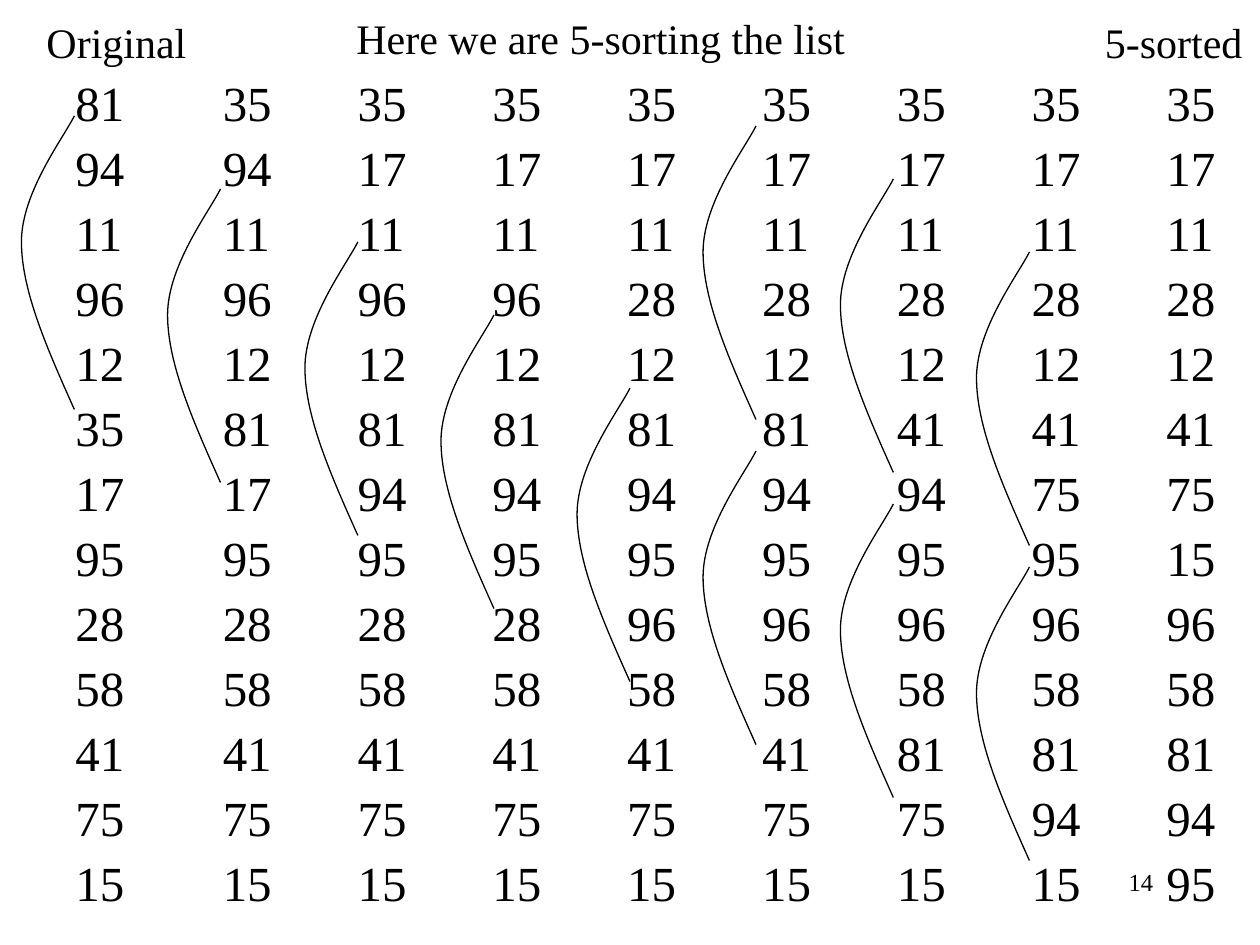
from pptx import Presentation
from pptx import util as u
from pptx.dml.color import RGBColor
from pptx.enum import text
from pptx.oxml import ns, xmlchemy

GAP = 5
ORIGINAL = [81, 94, 11, 96, 12, 35, 17, 95, 28, 58, 41, 75, 15]
COLUMN_TOP, COLUMN_STEP = 0.58, 1.07

# Left and top of the arc joining each compared pair
ARCS = [(0.17, 0.92), (1.33, 1.5), (2.42, 1.92), (3.5, 2.5), (4.58, 3.08),
        (5.58, 3.58), (6.67, 4), (7.75, 4.5), (7.75, 2), (6.67, 1.42), (5.58, 1)]
# Start of an arc, then the control and end points of its two curves
ARC_POINTS = [(0.42, 2.33), (0.21, 1.86), (0, 1.39), (0, 1),
              (0, 0.61), (0.33, 0.18), (0.42, 0)]


def color(value):
    return RGBColor.from_string(value)


def sort_passes(values, gap):
    """Return the list before and after each compare-and-swap."""
    states = [list(values)]
    for i in range(len(values) - gap):
        state = list(states[-1])
        if state[i] > state[i + gap]:
            state[i], state[i + gap] = state[i + gap], state[i]
        states.append(state)
    return states


class Deck:
    font = "Times New Roman"
    ink = "000000"

    def __init__(self, s):
        self.s = s

    def text_box(self, lines, left, top, width, height, size, wrap=True):
        sp = self.s.shapes.add_textbox(*map(u.Inches, (left, top, width, height)))
        tf = sp.text_frame
        tf.word_wrap = wrap
        if not wrap:
            tf.auto_size = text.MSO_AUTO_SIZE.SHAPE_TO_FIT_TEXT
        tf.text = "\n".join(map(str, lines))
        for p in tf.paragraphs:
            p.font.name = self.font
            p.font.size = u.Pt(size)
            p.font.color.rgb = color(self.ink)
        return tf

    def label(self, words, left, top, width):
        self.text_box([words], left, top, width, 0.5, 24, wrap=False)

    def column(self, numbers, left):
        tf = self.text_box(numbers, left, COLUMN_TOP, 0.67, 6.67, 28)
        for p in tf.paragraphs:
            p.line_spacing = 0.9
            p.space_before = u.Pt(6.9)
            pPr = p._p.get_or_add_pPr()
            pPr.set("marL", str(u.Inches(0.38)))
            pPr.set("indent", str(u.Inches(-0.38)))

    def page_number(self, number):
        tf = self.text_box([number], 7.5, 6.83, 1.75, 0.5, 14)
        tf.paragraphs[0].alignment = text.PP_ALIGN.RIGHT

    def arc(self, left, top):
        points = [(u.Inches(left + x), u.Inches(top + y)) for x, y in ARC_POINTS]
        builder = self.s.shapes.build_freeform(*points[0])
        builder.add_line_segments(points[1:], close=False)
        sp = builder.convert_to_shape()
        self.curve_segments(sp)
        sp.shadow.inherit = False
        sp.fill.background()
        sp.line.color.rgb = color(self.ink)
        sp.line.width = u.Pt(0.75)

    @staticmethod
    def curve_segments(sp):
        """Turn every three straight segments into one cubic curve."""
        segments = list(sp._element.iter(ns.qn("a:lnTo")))
        for i in range(0, len(segments), 3):
            curve = xmlchemy.OxmlElement("a:cubicBezTo")
            segments[i].addprevious(curve)
            for segment in segments[i:i + 3]:
                curve.append(segment[0])
                segment.getparent().remove(segment)


def main():
    prs = Presentation()
    prs.slide_width, prs.slide_height = u.Inches(10), u.Inches(7.5)
    deck = Deck(prs.slides.add_slide(prs.slide_layouts[6]))

    deck.page_number(14)
    for i, numbers in enumerate(sort_passes(ORIGINAL, GAP)):
        deck.column(numbers, 0.6 + COLUMN_STEP * i if i else 0.5)
    for left, top in ARCS:
        deck.arc(left, top)
    deck.label("Original", 0.27, 0.08, 1.31)
    deck.label("Here we are 5-sorting the list", 2.73, 0.05, 4.08)
    deck.label("5-sorted", 8.67, 0.08, 1.29)

    prs.save("out.pptx")


if __name__ == "__main__":
    main()
